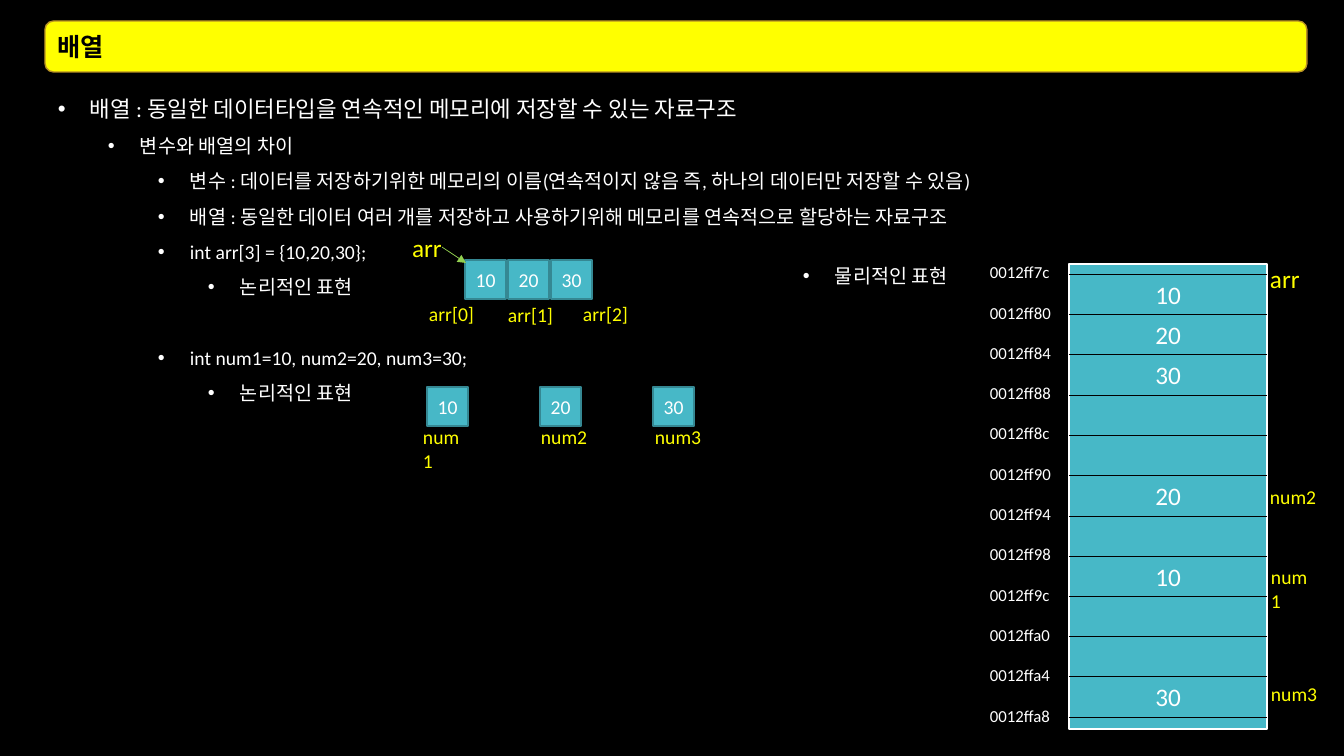
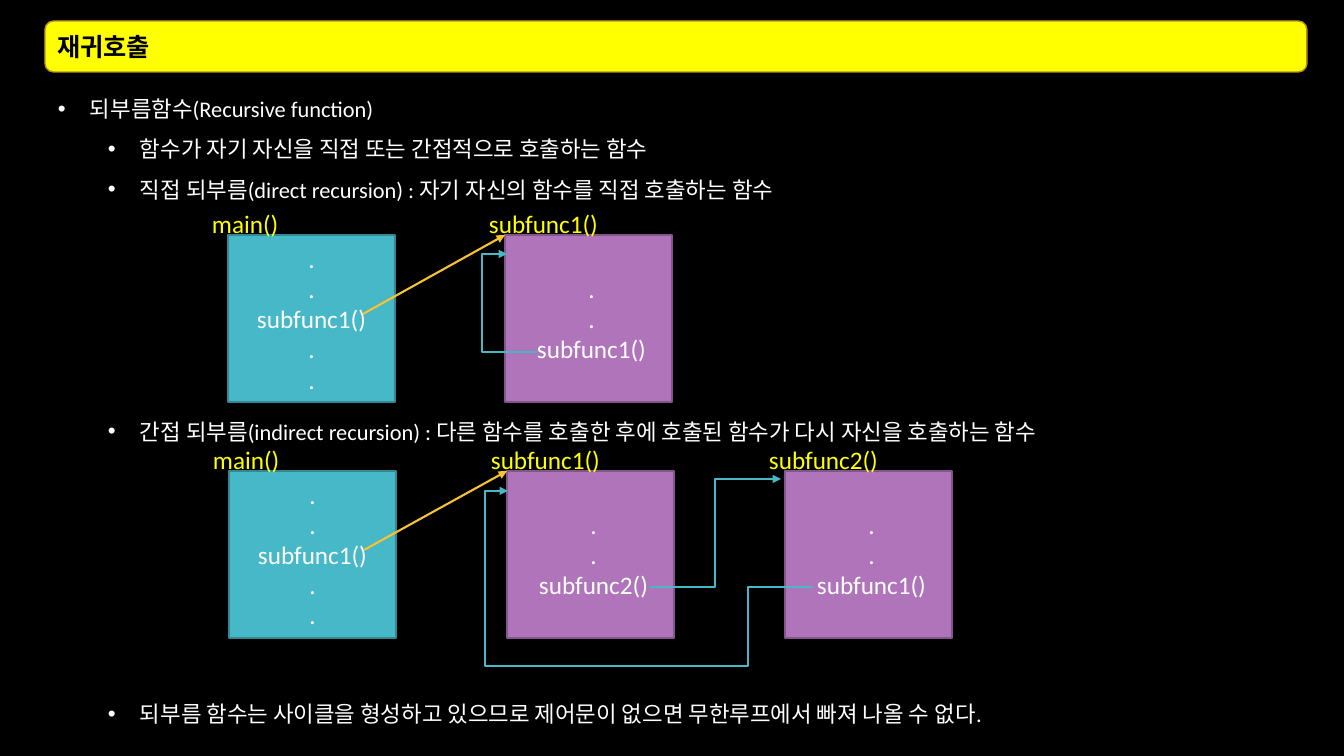
import pptx
import pptx.util
import pptx.dml.color
import pptx.enum.shapes
import pptx.enum.text
import pptx.oxml
import pptx.oxml.ns
from dataclasses import dataclass

SCALE = 914400 / 100.8
KIND = pptx.enum.shapes.MSO_SHAPE
LINK = pptx.enum.shapes.MSO_CONNECTOR
ALIGN = pptx.enum.text.PP_ALIGN
ANCHOR = pptx.enum.text.MSO_ANCHOR


@dataclass(frozen=True)
class Theme:
    font: str = "Calibri"
    black: str = "000000"
    white: str = "FFFFFF"
    yellow: str = "FFFF00"
    gold: str = "B79024"
    teal: str = "47B8C7"
    sea: str = "358893"
    plum: str = "B074BA"
    grape: str = "82568A"
    amber: str = "F7C331"
    green: str = "92D050"
    big: int = 18
    lead: int = 16
    mid: int = 14
    small: int = 12
    lines: float = 1.2


T = Theme()

ARRAY = [
    ("배열 : 동일한 데이터타입을 연속적인 메모리에 저장할 수 있는 자료구조", 0, T.lead, 0),
    ("변수와 배열의 차이", 1, T.mid, 0),
    ("변수 : 데이터를 저장하기위한 메모리의 이름(연속적이지 않음 즉, 하나의 데이터만 저장할 수 있음)", 2, T.mid, 0),
    ("배열 : 동일한 데이터 여러 개를 저장하고 사용하기위해 메모리를 연속적으로 할당하는 자료구조", 2, T.mid, 0),
    ("int arr[3] = {10,20,30};", 2, T.mid, 0),
    ("논리적인 표현", 3, T.mid, 0),
    ("int num1=10, num2=20, num3=30;", 2, T.mid, 1),
    ("논리적인 표현", 3, T.mid, 0),
]
CALLS = [
    ("되부름함수(Recursive function)", 0, T.lead, 0),
    ("함수가 자기 자신을 직접 또는 간접적으로 호출하는 함수", 1, T.lead, 0),
    ("직접 되부름(direct recursion) : 자기 자신의 함수를 직접 호출하는 함수", 1, T.lead, 0),
    ("간접 되부름(indirect recursion) : 다른 함수를 호출한 후에 호출된 함수가 다시 자신을 호출하는 함수", 1, T.lead, 5),
    ("되부름 함수는 사이클을 형성하고 있으므로 제어문이 없으면 무한루프에서 빠져 나올 수 없다.", 1, T.lead, 6),
]
VALUES = ["10", "20", "30"]
CELLS = [(465, 43, 260), (427, 113, 387)]
LABELS = [
    ("arr", 402, 227, 66, T.big),
    ("arr[0]", 419, 297, 80, T.mid),
    ("arr[1]", 498, 298, 80, T.mid),
    ("arr[2]", 573, 297, 80, T.mid),
    ("num1", 413, 420, 64, T.mid),
    ("num2", 531, 420, 80, T.mid),
    ("num3", 645, 420, 80, T.mid),
    ("arr", 1260, 258, 66, T.big),
    ("num2", 1260, 480, 80, T.mid),
    ("num1", 1261, 560, 64, T.mid),
    ("num3", 1261, 677, 80, T.mid),
]
ADDRESS = ["0012ff7c", "0012ff80", "0012ff84", "0012ff88", "0012ff8c", "0012ff90",
           "0012ff94", "0012ff98", "0012ff9c", "0012ffa0", "0012ffa4", "0012ffa8"]
STORED = {0: "10", 1: "20", 2: "30", 5: "20", 7: "10", 10: "30"}
MEMORY = dict(left=1069, top=264, width=198, height=465, first=274, pitch=40.25)

MAIN = ("main()", [".", ".", "subfunc1()", ".", "."], T.teal, T.sea, 0)
FLOWS = [
    (228, 235, 277, [
        MAIN,
        ("subfunc1()", [".", ".", "subfunc1()"], T.plum, T.grape, 6),
    ]),
    (229, 471, 278, [
        MAIN,
        ("subfunc1()", [".", ".", "subfunc2()"], T.plum, T.grape, 6),
        ("subfunc2()", [".", ".", "subfunc1()"], T.plum, T.grape, 6),
    ]),
]
BENDS = [
    ((537, 352), (507, 254), 482, True),
    ((650, 587), (781, 479), 715, True),
    ((813, 587), (509, 666), 748, False),
    ((510, 666), (508, 491), 485, True),
]


def px(size):
    return round(size * SCALE)


def tint(code):
    return pptx.dml.color.RGBColor.from_string(code)


def tag(parent, part, **attrs):
    node = pptx.oxml.parse_xml(f"<a:{part} {pptx.oxml.ns.nsdecls('a')}/>")
    for key, value in attrs.items():
        node.set(key, str(value))
    parent.append(node)
    return node


def write(shape, lines, size=T.mid, color=T.white, bold=False, align=ALIGN.LEFT,
          anchor=ANCHOR.TOP, bullet=False, spacing=1, inset=0):
    frame = shape.text_frame
    frame.word_wrap = True
    frame.vertical_anchor = anchor
    frame.margin_left = px(10 + inset)
    for i, line in enumerate(lines):
        words, level, points, skip = (line, 0, size, 0) if isinstance(line, str) else line
        para = frame.paragraphs[0] if i == 0 else frame.add_paragraph()
        para.alignment = align
        para.line_spacing = float(spacing)
        para.space_before = pptx.util.Pt(skip * points * T.lines * spacing)
        if bullet:
            para.level = level
            props = para._p.get_or_add_pPr()
            props.set("marL", str(px(32 + 50 * level)))
            props.set("indent", str(-px(32)))
            tag(props, "buFont", typeface="Arial")
            tag(props, "buChar", char="•")
        run = para.add_run()
        run.text = words
        run.font.name = T.font
        run.font.size = pptx.util.Pt(points)
        run.font.bold = bold
        run.font.color.rgb = tint(color)


def label(slide, lines, x, y, w, h=40, **style):
    area = slide.shapes.add_textbox(px(x), px(y), px(w), px(h))
    write(area, lines, **style)


def block(slide, x, y, w, h, fill, edge, kind=KIND.RECTANGLE, weight=1):
    shape = slide.shapes.add_shape(kind, px(x), px(y), px(w), px(h))
    shape.shadow.inherit = False
    shape.fill.solid()
    shape.fill.fore_color.rgb = tint(fill)
    shape.line.color.rgb = tint(edge)
    shape.line.width = pptx.util.Pt(weight)
    return shape


def link(slide, start, end, color, weight, arrow=True, bend=None):
    kind = LINK.STRAIGHT if bend is None else LINK.ELBOW
    line = slide.shapes.add_connector(kind, *map(px, start + end))
    line.line.color.rgb = tint(color)
    line.line.width = pptx.util.Pt(weight)
    props = line._element.spPr
    if arrow:
        tag(props.find(pptx.oxml.ns.qn("a:ln")), "tailEnd", type="triangle")
    if bend is not None:
        ratio = (bend - start[0]) / (end[0] - start[0])
        geom = props.find(pptx.oxml.ns.qn("a:prstGeom"))
        guides = geom.find(pptx.oxml.ns.qn("a:avLst"))
        if guides is None:
            guides = tag(geom, "avLst")
        tag(guides, "gd", name="adj1", fmla=f"val {round(ratio * 100000)}")
    tag(props, "effectLst")


def page(deck, title, body):
    slide = deck.slides.add_slide(deck.slide_layouts[6])
    slide.background.fill.solid()
    slide.background.fill.fore_color.rgb = tint(T.black)
    label(slide, body, 48, 77, 1258, 651, bullet=True, spacing=1.5)
    band = block(slide, 45, 21, 1262, 51, T.yellow, T.gold, KIND.ROUNDED_RECTANGLE)
    write(band, [title], size=T.big, color=T.black, bold=True, anchor=ANCHOR.MIDDLE)
    return slide


def memory(slide):
    left, width = MEMORY["left"], MEMORY["width"]
    block(slide, left, MEMORY["top"], width, MEMORY["height"], T.teal, T.white, weight=1.5)
    for i in range(len(ADDRESS)):
        y = round(MEMORY["first"] + i * MEMORY["pitch"])
        link(slide, (left, y), (left + width, y), T.black, 0.5, arrow=False)
        if i in STORED:
            label(slide, [STORED[i]], left, y, width, size=T.big, align=ALIGN.CENTER)
    rows = [(name, 0, T.small, min(i, 1)) for i, name in enumerate(ADDRESS)]
    label(slide, rows, 980, 257, 84, 479)


def arrays(deck):
    slide = page(deck, "배열", ARRAY)
    for left, pitch, top in CELLS:
        for i, value in enumerate(VALUES):
            cell = block(slide, left + i * pitch, top, 41, 39, T.teal, T.sea)
            write(cell, [value], align=ALIGN.CENTER, anchor=ANCHOR.MIDDLE)
    memory(slide)
    for words, x, y, w, size in LABELS:
        label(slide, [words], x, y, w, size=size, color=T.yellow)
    link(slide, (442, 247), (466, 263), T.green, 0.5)
    label(slide, ["물리적인 표현"], 793, 259, 179, 34, bullet=True)


def calls(deck):
    slide = page(deck, "재귀호출", CALLS)
    for left, top, pitch, parts in FLOWS:
        for i, (name, code, fill, edge, inset) in enumerate(parts):
            x = left + i * pitch
            box = block(slide, x, top, 167, 167, fill, edge)
            write(box, code, size=T.big, align=ALIGN.CENTER, anchor=ANCHOR.MIDDLE, inset=inset)
            label(slide, [name], x - 26, top - 32, 150, size=T.big, color=T.yellow)
        link(slide, (left + 135, top + 79), (left + pitch, top), T.amber, 1.5)
    for start, end, bend, arrow in BENDS:
        link(slide, start, end, T.teal, 1.5, arrow=arrow, bend=bend)


def main():
    deck = pptx.Presentation()
    deck.slide_width, deck.slide_height = px(1344), px(756)
    arrays(deck)
    calls(deck)
    deck.save("out.pptx")


if __name__ == "__main__":
    main()
